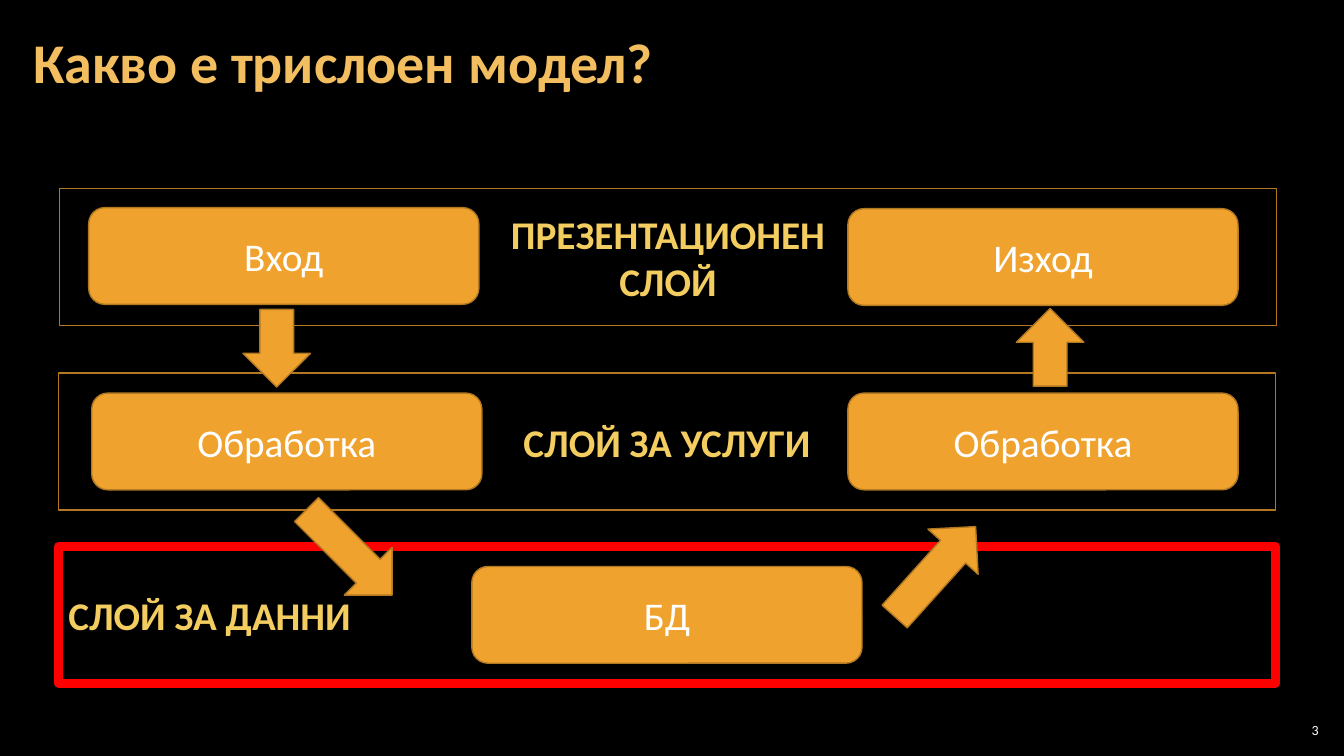
from dataclasses import dataclass

import pptx
import pptx.dml.color
import pptx.enum.shapes
import pptx.enum.text
import pptx.shapes.autoshape
import pptx.slide
import pptx.util

Inches = pptx.util.Inches
Pt = pptx.util.Pt
RGBColor = pptx.dml.color.RGBColor
Shape = pptx.shapes.autoshape.Shape
Slide = pptx.slide.Slide
Align = pptx.enum.text.PP_ALIGN
Preset = pptx.enum.shapes.MSO_SHAPE

BLACK = RGBColor(0x00, 0x00, 0x00)
WHITE = RGBColor(0xFF, 0xFF, 0xFF)
ORANGE = RGBColor(0xF0, 0xA2, 0x2E)
BROWN = RGBColor(0xB2, 0x78, 0x22)
RED = RGBColor(0xFF, 0x00, 0x00)
TITLE_GOLD = RGBColor(0xF3, 0xBE, 0x60)
LAYER_GOLD = RGBColor(0xF3, 0xCD, 0x60)

FONT = "Calibri"
LAYER_SIZE = (12.07, 1.36)
STEP_SIZE = (3.87, 0.96)
ARROW_WIDTH = 0.67


@dataclass(frozen=True)
class Layer:
    label: str
    left: float
    top: float
    align: Align = Align.CENTER
    line_color: RGBColor = BROWN
    line_width: float = 1


@dataclass(frozen=True)
class Step:
    label: str
    left: float
    top: float


@dataclass(frozen=True)
class Arrow:
    left: float
    top: float
    length: float
    rotation: float = 0


LAYERS = [
    Layer("ПРЕЗЕНТАЦИОНЕН\nСЛОЙ", 0.59, 1.87),
    Layer("СЛОЙ ЗА УСЛУГИ", 0.58, 3.7),
    Layer("СЛОЙ ЗА ДАННИ", 0.58, 5.42, Align.LEFT, RED, 6),
]
STEPS = [
    Step("Вход", 0.88, 2.06),
    Step("Изход", 8.41, 2.07),
    Step("Обработка", 0.91, 3.9),
    Step("Обработка", 8.41, 3.9),
    Step("БД", 4.68, 5.62),
]
ARROWS = [
    Arrow(2.41, 3.07, 0.77),
    Arrow(3.13, 4.88, 1.2, 315),
    Arrow(8.94, 5.07, 1.2, 222),
    Arrow(10.08, 3.06, 0.77, 180),
]


def write_text(shape: Shape, text: str, size: float, color: RGBColor,
               align: Align, bold: bool = False) -> None:
    frame = shape.text_frame
    frame.word_wrap = True
    frame.vertical_anchor = pptx.enum.text.MSO_ANCHOR.MIDDLE
    paragraph = frame.paragraphs[0]
    paragraph.text = text
    paragraph.alignment = align
    paragraph.font.name = FONT
    paragraph.font.size = Pt(size)
    paragraph.font.bold = bold
    paragraph.font.color.rgb = color


def add_outlined(slide: Slide, preset: Preset, left: float, top: float,
                 width: float, height: float, line_color: RGBColor = BROWN,
                 line_width: float = 1) -> Shape:
    shape = slide.shapes.add_shape(
        preset, Inches(left), Inches(top), Inches(width), Inches(height))
    shape.shadow.inherit = False
    shape.line.color.rgb = line_color
    shape.line.width = Pt(line_width)
    return shape


def fill_orange(shape: Shape) -> None:
    shape.fill.solid()
    shape.fill.fore_color.rgb = ORANGE


def draw_layer(slide: Slide, layer: Layer) -> None:
    shape = add_outlined(slide, Preset.RECTANGLE, layer.left, layer.top,
                         *LAYER_SIZE, layer.line_color, layer.line_width)
    shape.fill.background()
    write_text(shape, layer.label, 28, LAYER_GOLD, layer.align, bold=True)


def draw_step(slide: Slide, step: Step) -> None:
    shape = add_outlined(slide, Preset.ROUNDED_RECTANGLE, step.left, step.top,
                         *STEP_SIZE)
    fill_orange(shape)
    write_text(shape, step.label, 28, WHITE, Align.CENTER)


def draw_arrow(slide: Slide, arrow: Arrow) -> None:
    shape = add_outlined(slide, Preset.DOWN_ARROW, arrow.left, arrow.top,
                         ARROW_WIDTH, arrow.length)
    fill_orange(shape)
    shape.rotation = arrow.rotation


def add_text_box(slide: Slide, left: float, top: float, width: float,
                 height: float, side_inset: float) -> Shape:
    box = slide.shapes.add_textbox(
        Inches(left), Inches(top), Inches(width), Inches(height))
    frame = box.text_frame
    frame.margin_left = frame.margin_right = Inches(side_inset)
    frame.margin_top = frame.margin_bottom = Inches(0.04)
    return box


def main() -> None:
    presentation = pptx.Presentation()
    presentation.slide_width = Inches(13.33)
    presentation.slide_height = Inches(7.5)
    slide = presentation.slides.add_slide(presentation.slide_layouts[6])
    slide.background.fill.solid()
    slide.background.fill.fore_color.rgb = BLACK

    title = add_text_box(slide, 0.21, 0.04, 12.91, 1.21, 0.12)
    write_text(title, "Какво е трислоен модел?", 40, TITLE_GOLD, Align.LEFT,
               bold=True)
    title.text_frame.paragraphs[0].line_spacing = 0.9

    for layer in LAYERS:
        draw_layer(slide, layer)
    for step in STEPS:
        draw_step(slide, step)
    for arrow in ARROWS:
        draw_arrow(slide, arrow)

    slide_number = add_text_box(slide, 12.65, 7.14, 0.47, 0.21, 0.04)
    write_text(slide_number, "3", 10, WHITE, Align.RIGHT)

    presentation.save("out.pptx")


if __name__ == "__main__":
    main()
